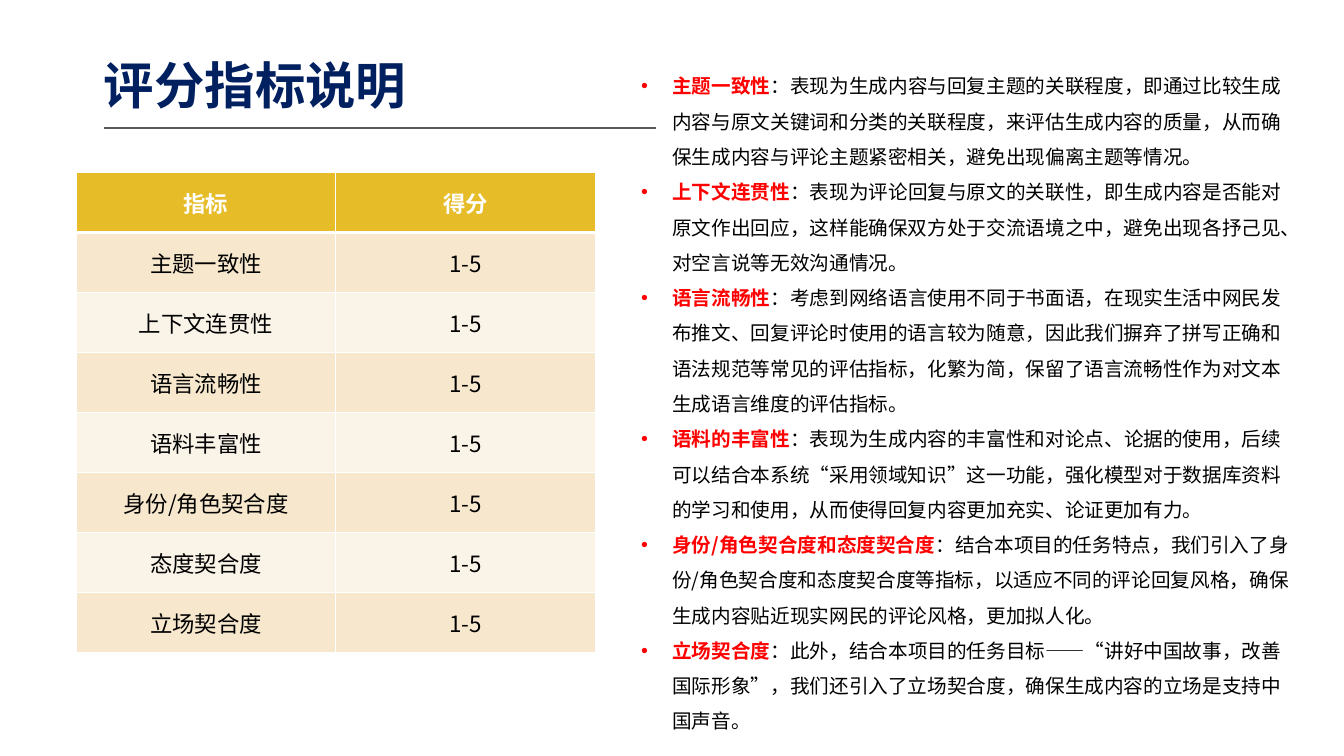
import pptx
import pptx.dml.color
import pptx.enum.shapes
import pptx.enum.text
import pptx.oxml
import pptx.oxml.ns
import pptx.util
from pptx.util import Cm

FONT = "Noto Sans CJK SC"
NS = pptx.oxml.ns.nsdecls("a")
CENTER = pptx.enum.text.PP_ALIGN.CENTER
LEFT = pptx.enum.text.PP_ALIGN.LEFT

SCORES = [
    ("指标", "得分"),
    ("主题一致性", "1-5"),
    ("上下文连贯性", "1-5"),
    ("语言流畅性", "1-5"),
    ("语料丰富性", "1-5"),
    ("身份/角色契合度", "1-5"),
    ("态度契合度", "1-5"),
    ("立场契合度", "1-5"),
]
NOTES = [
    ("主题一致性", "：表现为生成内容与回复主题的关联程度，即通过比较生成内容与原文关键词和分类的关联程度，"
     "来评估生成内容的质量，从而确保生成内容与评论主题紧密相关，避免出现偏离主题等情况。"),
    ("上下文连贯性", "：表现为评论回复与原文的关联性，即生成内容是否能对原文作出回应，"
     "这样能确保双方处于交流语境之中，避免出现各抒己见、对空言说等无效沟通情况。"),
    ("语言流畅性", "：考虑到网络语言使用不同于书面语，在现实生活中网民发布推文、回复评论时使用的语言较为随意，"
     "因此我们摒弃了拼写正确和语法规范等常见的评估指标，化繁为简，保留了语言流畅性作为对文本生成语言维度的评估指标。"),
    ("语料的丰富性", "：表现为生成内容的丰富性和对论点、论据的使用，后续可以结合本系统“采用领域知识”这一功能，"
     "强化模型对于数据库资料的学习和使用，从而使得回复内容更加充实、论证更加有力。"),
    ("身份/角色契合度和态度契合度", "：结合本项目的任务特点，我们引入了身份/角色契合度和态度契合度等指标，"
     "以适应不同的评论回复风格，确保生成内容贴近现实网民的评论风格，更加拟人化。"),
    ("立场契合度", "：此外，结合本项目的任务目标——“讲好中国故事，改善国际形象”，"
     "我们还引入了立场契合度，确保生成内容的立场是支持中国声音。"),
]


def rgb(value):
    """Return the colour for a hex string."""
    return pptx.dml.color.RGBColor.from_string(value)


def add_xml(parent, xml):
    """Append one DrawingML element to parent."""
    parent.append(pptx.oxml.parse_xml(xml))


def set_font(p, size, color=None, bold=None):
    """Format a whole paragraph, Latin and East Asian text alike."""
    font = p.font
    font.size = pptx.util.Pt(size)
    font.name = FONT
    font.bold = bold
    if color:
        font.color.rgb = rgb(color)
    add_xml(p._p.pPr.find(pptx.oxml.ns.qn("a:defRPr")), f'<a:ea {NS} typeface="{FONT}"/>')


def place(sp, left, top, width, height):
    """Move a placeholder into a box and return its text frame, top anchored."""
    sp.left, sp.top, sp.width, sp.height = left, top, width, height
    tf = sp.text_frame
    tf.word_wrap = True
    tf.auto_size = pptx.enum.text.MSO_AUTO_SIZE.NONE
    tf.vertical_anchor = pptx.enum.text.MSO_ANCHOR.TOP
    return tf


def add_heading(s, left, top, width, height):
    """Fill the title and draw the rule below it."""
    tf = place(s.shapes.title, left, top, width, height)
    tf.margin_left = tf.margin_right = tf.margin_top = tf.margin_bottom = 0
    p = tf.paragraphs[0]
    p.text = "评分指标说明"
    p.alignment = LEFT
    p.line_spacing = pptx.util.Pt(36.4)
    set_font(p, 36, "002060", True)

    y = top + height + Cm(0.33)
    line = s.shapes.add_connector(
        pptx.enum.shapes.MSO_CONNECTOR.STRAIGHT, left, y, left + Cm(13.92), y)
    line.line.color.rgb = rgb("595959")
    line.line.width = pptx.util.Pt(1)
    add_xml(line._element.spPr, f"<a:effectLst {NS}/>")


def add_borders(cell, bottom):
    """Give a cell white borders, with the bottom one of its own width."""
    tcPr = cell._tc.get_or_add_tcPr()
    for side, width in (("L", 1), ("R", 1), ("T", 1), ("B", bottom)):
        add_xml(tcPr, f'<a:ln{side} {NS} w="{pptx.util.Pt(width)}"><a:solidFill>'
                f'<a:srgbClr val="FFFFFF"/></a:solidFill></a:ln{side}>')


def add_scores(s, left, top, width, height):
    """Draw the table of indicators and score ranges."""
    table = s.shapes.add_table(len(SCORES), 2, left, top, width, height).table
    for i, row in enumerate(SCORES):
        header = i == 0
        fill = "E7BC29" if header else ("FAF3E8", "F6E7CD")[i % 2]
        for j, text in enumerate(row):
            cell = table.cell(i, j)
            add_borders(cell, 3 if header else 1)
            cell.fill.solid()
            cell.fill.fore_color.rgb = rgb(fill)
            cell.vertical_anchor = pptx.enum.text.MSO_ANCHOR.MIDDLE
            p = cell.text_frame.paragraphs[0]
            p.text = text
            p.alignment = CENTER
            set_font(p, 16, "FFFFFF" if header else "000000", header)


def add_notes(s, left, top, width, height):
    """Fill the body with one bullet for each indicator."""
    tf = place(s.placeholders[1], left, top, width, height)
    for i, note in enumerate(NOTES):
        p = tf.add_paragraph() if i else tf.paragraphs[0]
        p.line_spacing = 1.5
        p.space_before = p.space_after = pptx.util.Pt(0)
        pPr = p._p.get_or_add_pPr()
        pPr.set("marL", str(Cm(0.79)))
        pPr.set("indent", str(-Cm(0.79)))
        add_xml(pPr, f'<a:buClr {NS}><a:srgbClr val="FF0000"/></a:buClr>')
        add_xml(pPr, f'<a:buFont {NS} typeface="Arial"/>')
        add_xml(pPr, f'<a:buChar {NS} char="•"/>')
        set_font(p, 14)
        for text, color, bold in zip(note, ("FF0000", "000000"), (True, False)):
            r = p.add_run()
            r.text = text
            r.font.bold = bold
            r.font.color.rgb = rgb(color)


def main():
    """Build the slide and save it."""
    prs = pptx.Presentation()
    prs.slide_width, prs.slide_height = Cm(33.87), Cm(19.05)
    s = prs.slides.add_slide(prs.slide_layouts[1])
    add_notes(s, Cm(15.9), Cm(1.45), Cm(16.94), Cm(17.22))
    add_scores(s, Cm(1.92), Cm(4.35), Cm(13.08), Cm(12.1))
    add_heading(s, Cm(2.62), Cm(1.6), Cm(11.15), Cm(1.3))
    prs.save("out.pptx")


if __name__ == "__main__":
    main()
